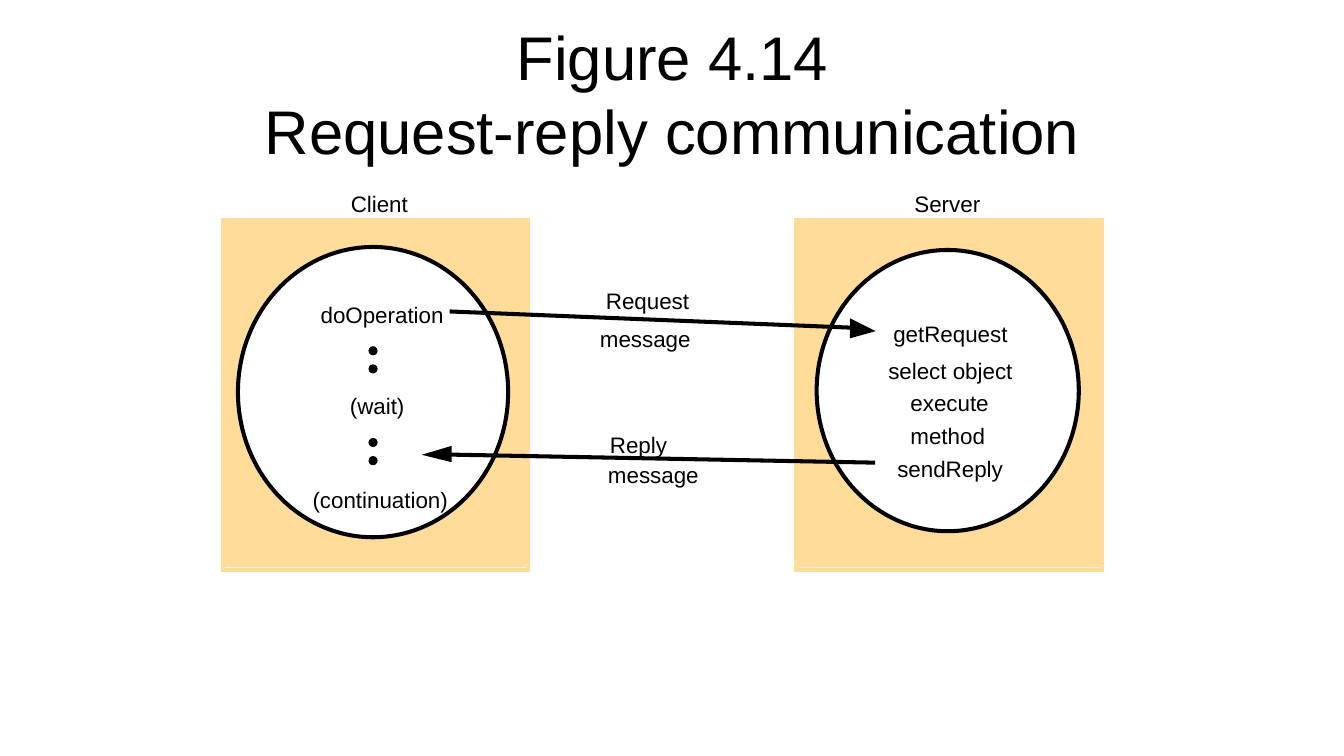
from lxml import etree
from pptx import Presentation
from pptx.dml.color import RGBColor
from pptx.enum.shapes import MSO_CONNECTOR, MSO_SHAPE
from pptx.enum.text import MSO_ANCHOR, MSO_AUTO_SIZE, PP_ALIGN
from pptx.oxml.ns import qn
from pptx.util import Inches, Pt

RECT, OVAL, STRAIGHT = MSO_SHAPE.RECTANGLE, MSO_SHAPE.OVAL, MSO_CONNECTOR.STRAIGHT
CENTER, MIDDLE = PP_ALIGN.CENTER, MSO_ANCHOR.MIDDLE
FIT = MSO_AUTO_SIZE.SHAPE_TO_FIT_TEXT

FONT, BLACK, WHITE, SAND = "Arial", "000000", "FFFFFF", "FFDC99"
STROKE = 2.88
TITLE = "Figure 4.14\vRequest-reply communication"
PANEL_TOP, LABEL_HEIGHT = 2.18, 0.27

# Panel left edge, then the process oval: left, top, width, height
HOSTS = [
    (7.9, (8.1, 2.48, 2.6, 2.79)),
    (2.21, (2.36, 2.45, 2.68, 2.88)),
]
# Text, left, top, width
LABELS = [
    ("Client", 3.48, 1.89, 0.57),
    ("doOperation", 3.18, 2.99, 1.23),
    ("(wait)", 3.47, 3.89, 0.55),
    ("(continuation)", 3.1, 4.82, 1.36),
    ("Request", 6.01, 2.85, 0.83),
    ("message", 5.95, 3.23, 0.91),
    ("Reply", 6.05, 4.28, 0.57),
    ("message", 6.03, 4.58, 0.91),
    ("Server", 9.07, 1.89, 0.66),
    ("getRequest", 8.86, 3.18, 1.15),
    ("select object", 8.81, 3.54, 1.25),
    ("execute", 9.03, 3.86, 0.79),
    ("method", 9.03, 4.19, 0.75),
    ("sendReply", 8.9, 4.52, 1.06),
]
# Line start, line end, corners of the arrowhead
MESSAGES = [
    ((4.46, 3.09), (8.43, 3.25), [(8.45, 3.19), (8.63, 3.28), (8.45, 3.33)]),
    ((8.68, 4.59), (4.46, 4.51), [(4.46, 4.56), (4.26, 4.51), (4.46, 4.45)]),
]
DOT_LEFT, DOT_SIZE, DOT_STEP = 3.66, 0.08, 0.18
DOT_PAIR_TOPS = [3.44, 4.35]


def color(value):
    return RGBColor.from_string(value)


def paint(s, fill=None, line=None, width=STROKE):
    s.shadow.inherit = False
    if fill:
        s.fill.solid()
        s.fill.fore_color.rgb = color(fill)
    else:
        s.fill.background()
    if line:
        s.line.color.rgb = color(line)
        s.line.width = Pt(width)
        etree.SubElement(s.line._get_or_add_ln(), qn("a:miter"), lim="800000")
    else:
        s.line.fill.background()


def add_shape(shapes, kind, box, **style):
    s = shapes.add_shape(kind, *map(Inches, box))
    paint(s, **style)


def add_text(shapes, text, box, size):
    tf = shapes.add_textbox(*map(Inches, box)).text_frame
    tf.text = text
    for r in tf.paragraphs[0].runs:
        r.font.name, r.font.size = FONT, Pt(size)
        r.font.color.rgb = color(BLACK)
    return tf


def add_message(shapes, start, end, head):
    """Draw a line with a separate filled triangle as its arrowhead."""
    s = shapes.add_connector(STRAIGHT, *map(Inches, start + end))
    s.line.color.rgb = color(BLACK)
    s.line.width = Pt(STROKE)
    etree.SubElement(s._element.spPr, qn("a:effectLst"))
    corners = [(Inches(x), Inches(y)) for x, y in head]
    outline = shapes.build_freeform(*corners[0])
    outline.add_line_segments(corners[1:], close=True)
    paint(outline.convert_to_shape(), BLACK, BLACK)


def main():
    prs = Presentation()
    prs.slide_width, prs.slide_height = Inches(13.33), Inches(7.5)
    shapes = prs.slides.add_slide(prs.slide_layouts[6]).shapes

    tf = add_text(shapes, TITLE, (0.67, 0.3, 12, 1.25), 44)
    tf.word_wrap, tf.vertical_anchor = True, MIDDLE
    tf.paragraphs[0].alignment = CENTER

    for left, oval in HOSTS:
        add_shape(shapes, RECT, (left, PANEL_TOP, 3.01, 3.45), fill=SAND)
        add_shape(shapes, RECT, (left, PANEL_TOP, 3.03, 3.48), line=SAND)
        add_shape(shapes, OVAL, oval, fill=WHITE, line=BLACK)

    for text, left, top, width in LABELS:
        tf = add_text(shapes, text, (left, top, width, LABEL_HEIGHT), 16)
        tf.margin_left = tf.margin_right = tf.margin_top = tf.margin_bottom = 0
        tf.word_wrap, tf.auto_size = False, FIT

    for message in MESSAGES:
        add_message(shapes, *message)

    for top in DOT_PAIR_TOPS:
        pair = shapes.add_group_shape()
        for i in range(2):
            box = (DOT_LEFT, top + i * DOT_STEP, DOT_SIZE, DOT_SIZE)
            add_shape(pair.shapes, OVAL, box, fill=BLACK, line=BLACK, width=0.75)

    prs.save("out.pptx")


if __name__ == "__main__":
    main()
